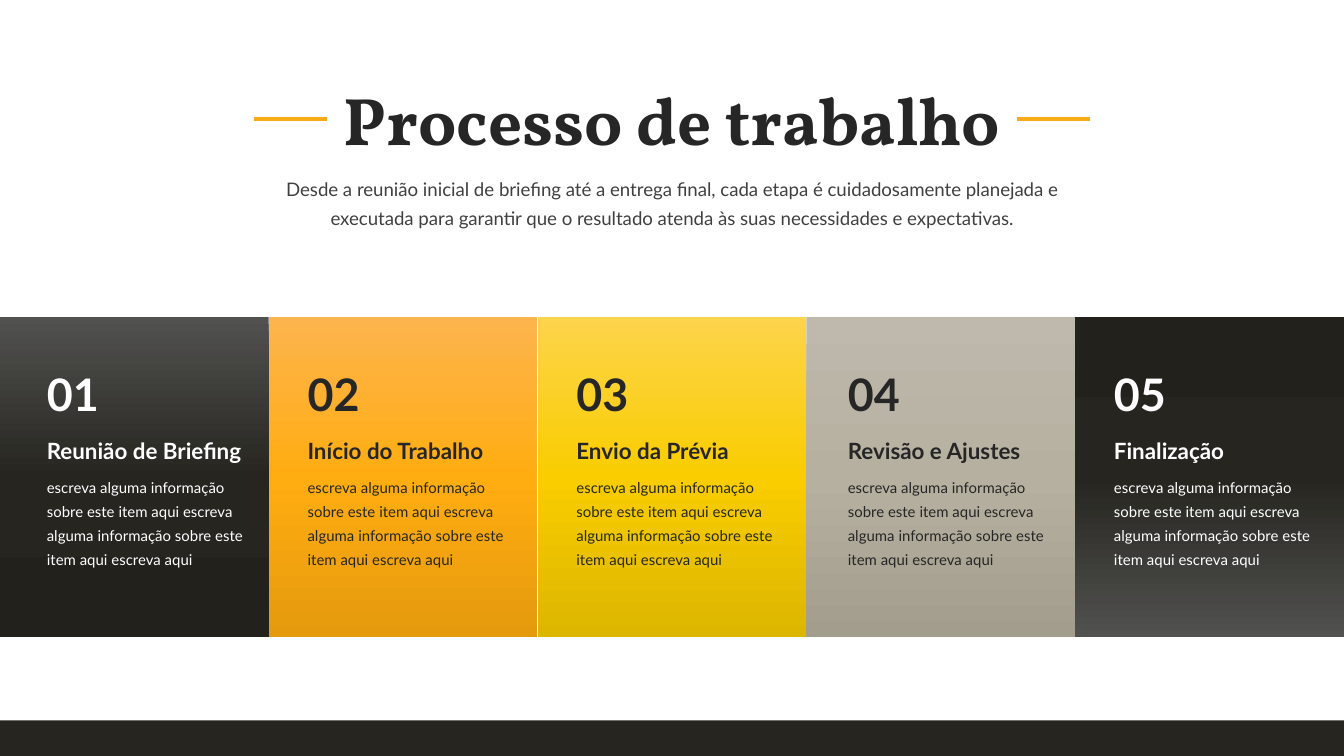
from copy import deepcopy
from pptx import Presentation
from pptx.dml.color import RGBColor as Rgb
from pptx.enum.shapes import MSO_CONNECTOR as Link, MSO_SHAPE as Shape
from pptx.enum.text import MSO_ANCHOR as Anchor, MSO_AUTO_SIZE as Auto, PP_ALIGN as Align
from pptx.oxml.ns import qn
from pptx.util import Pt
from lxml.etree import SubElement

HEX = {
    "white": "FFFFFF", "ink": "262626", "grey": "404040",
    "gold": "F9AB17", "base": "262520",
}
FADES = {
    "coal": ("51514F", "262520", "22211C"),
    "amber": ("FDB44D", "FFAD11", "E59A0D"),
    "sun": ("FDD44B", "F9CD00", "DDB600"),
    "stone": ("BEB9AC", "B6B0A0", "A39D8D"),
}
FADES["rise"] = FADES["coal"][::-1]
NOTE = ("escreva alguma informação sobre este item aqui escreva "
        "alguma informação sobre este item aqui escreva aqui")
LEAD = ("Desde a reunião inicial de briefing até a entrega final, cada etapa é "
        "cuidadosamente planejada e executada para garantir que o resultado "
        "atenda às suas necessidades e expectativas.")
STEPS = [
    ("Reunião de Briefing", "coal", "white", 18),
    ("Início do Trabalho", "amber", "ink", 13.7),
    ("Envio da Prévia", "sun", "ink", 13.7),
    ("Revisão e Ajustes", "stone", "ink", 15.1),
    ("Finalização", "rise", "white", 13.7),
]


def place(shape, x, y, w, h):
    shape.left, shape.top, shape.width, shape.height = Pt(x), Pt(y), Pt(w), Pt(h)


def write(shape, text, size, tint, bold=False, face="Lato", space=1.0, align=Align.LEFT):
    frame = shape.text_frame
    frame.text = text
    frame.word_wrap = True
    frame.auto_size = Auto.NONE
    frame.vertical_anchor = Anchor.TOP
    para = frame.paragraphs[0]
    para.alignment = align
    para.line_spacing = space
    para.space_before = Pt(0)
    font = para.runs[0].font
    font.name, font.size, font.bold = face, Pt(size), bold
    font.color.rgb = Rgb.from_string(HEX[tint])


def add_rect(slide, x, y, w, h):
    rect = slide.shapes.add_shape(Shape.RECTANGLE, Pt(x), Pt(y), Pt(w), Pt(h))
    rect.shadow.inherit = False
    rect.line.fill.background()
    return rect


def fade(shape, tones):
    fill = shape.fill
    fill.gradient()
    fill.gradient_angle = 270
    stops = shape._element.spPr.find(".//" + qn("a:gsLst"))
    stops.insert(1, deepcopy(stops[0]))
    for stop, spot, tone in zip(fill.gradient_stops, (0, 0.5, 1), tones):
        stop.position = spot
        stop.color.rgb = Rgb.from_string(tone)


def add_dash(slide, x, y, w):
    dash = slide.shapes.add_connector(Link.STRAIGHT, Pt(x), Pt(y), Pt(x + w), Pt(y))
    dash.line.color.rgb = Rgb.from_string(HEX["gold"])
    dash.line.width = Pt(2)
    SubElement(dash._element.spPr, qn("a:effectLst"))


def add_head(slide, x, y, w):
    title, lead = slide.placeholders
    place(title, x, y, w, 51)
    write(title, "Processo de trabalho", 36, "ink", True, "Vollkorn", align=Align.CENTER)
    place(lead, x + 17, y + 49.7, w - 34, 38)
    write(lead, LEAD, 10, "grey", space=1.3, align=Align.CENTER)
    for left in (x + 14.3, x + w - 53.3):
        add_dash(slide, left, y + 25.5, 39)


def add_step(slide, x, y, w, h, num, name, tones, tint, inset):
    fade(add_rect(slide, x, y, w, h), FADES[tones])
    rows = [
        (f"{num:02}", 23, 58, 36, 24, True, 1.0),
        (name, 53.3, 130, 27, 12, True, 1.5),
        (NOTE, 79.2, 120, 59, 8, False, Pt(13)),
    ]
    for text, drop, wide, tall, size, bold, space in rows:
        box = slide.shapes.add_textbox(Pt(x + inset), Pt(y + drop), Pt(wide), Pt(tall))
        write(box, text, size, tint, bold, space=space)


def add_steps(slide, x, y, w, h):
    wide = w / len(STEPS)
    for i, step in enumerate(STEPS):
        add_step(slide, x + i * wide, y, wide, h, i + 1, *step)


def add_foot(slide, x, y, w, h):
    band = add_rect(slide, x, y, w, h)
    band.fill.solid()
    band.fill.fore_color.rgb = Rgb.from_string(HEX["base"])


def main():
    deck = Presentation()
    deck.slide_width, deck.slide_height = Pt(720), Pt(405)
    slide = deck.slides.add_slide(deck.slide_layouts[0])
    add_head(slide, 121.7, 38.2, 476.6)
    add_steps(slide, 0, 170, 720, 171.3)
    add_foot(slide, 0, 386, 720, 19)
    deck.save("out.pptx")


if __name__ == "__main__":
    main()
